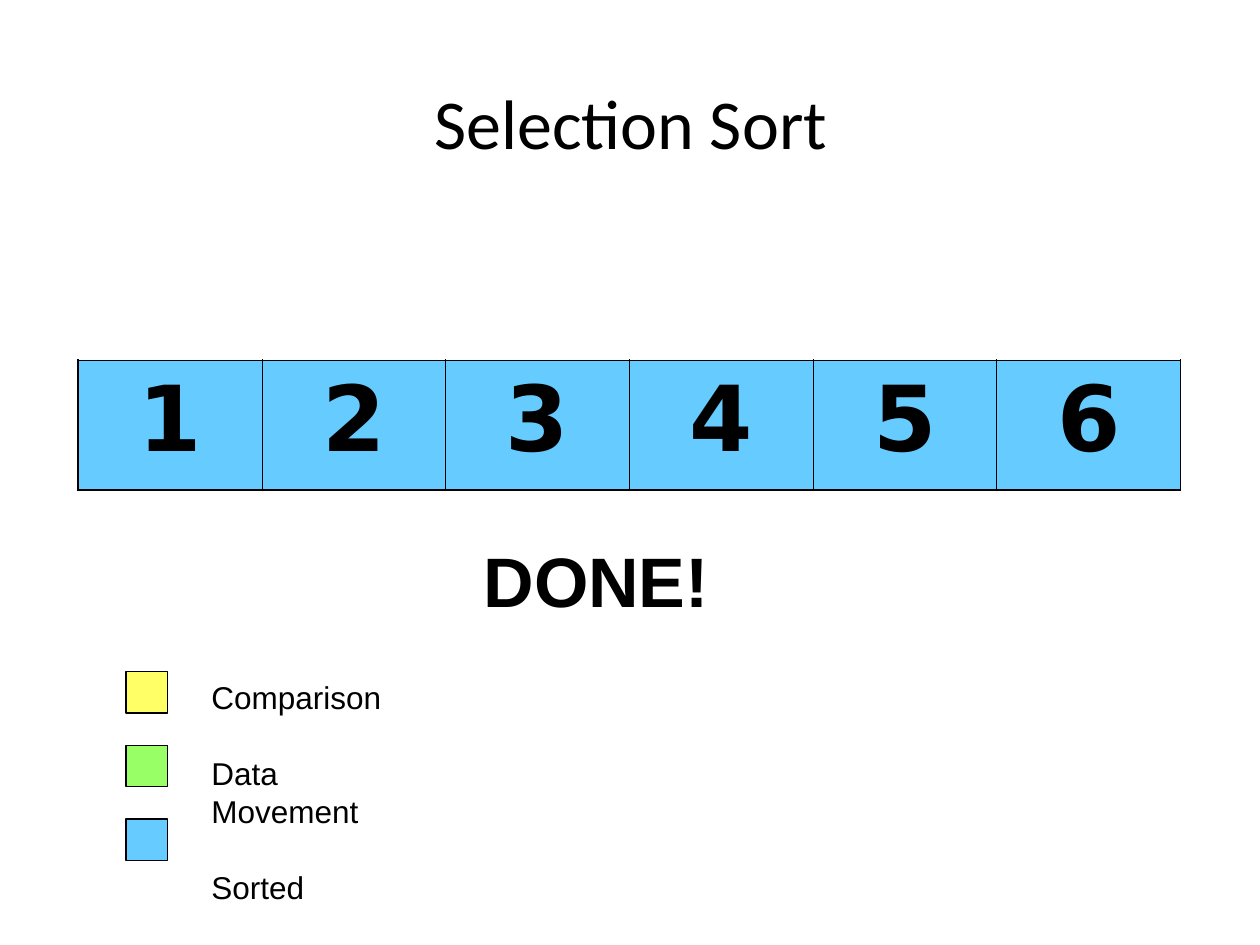
from lxml import etree
from pptx import Presentation
from pptx.dml.color import RGBColor
from pptx.enum.shapes import MSO_SHAPE
from pptx.enum.text import MSO_ANCHOR, MSO_AUTO_SIZE, PP_ALIGN
from pptx.oxml.ns import qn
from pptx.util import Inches, Pt

RECTANGLE = MSO_SHAPE.RECTANGLE
TOP, MIDDLE = MSO_ANCHOR.TOP, MSO_ANCHOR.MIDDLE
CENTER, LEFT = PP_ALIGN.CENTER, PP_ALIGN.LEFT
FIT_SHAPE = MSO_AUTO_SIZE.SHAPE_TO_FIT_TEXT

BLACK = RGBColor(0x00, 0x00, 0x00)
YELLOW = RGBColor(0xFF, 0xFF, 0x66)
GREEN = RGBColor(0x99, 0xFF, 0x66)
BLUE = RGBColor(0x66, 0xCC, 0xFF)

VALUES = ["1", "2", "3", "4", "5", "6"]
LEGEND = [("Comparison", YELLOW), ("Data Movement", GREEN), ("Sorted", BLUE)]
OUTER_BORDER, INNER_BORDER = 1.08, 0.45


def format_text(text_frame, font_name, size, bold=False, alignment=LEFT):
    for paragraph in text_frame.paragraphs:
        paragraph.alignment = alignment
        for run in paragraph.runs:
            run.font.name = font_name
            run.font.size = Pt(size)
            run.font.bold = bold
            run.font.color.rgb = BLACK


def set_title(slide, text):
    title = slide.shapes.title
    title.left, title.top = Inches(0.63), Inches(0.33)
    title.width, title.height = Inches(8.75), Inches(1.33)
    title.text_frame.text = text
    title.text_frame.vertical_anchor = MIDDLE
    format_text(title.text_frame, "Calibri", 40, alignment=CENTER)
    title.text_frame.paragraphs[0].line_spacing = 0.97


def set_borders(cell, widths):
    """Draw black cell borders; widths maps a side (L, R, T, B) to points."""
    properties = cell._tc.get_or_add_tcPr()
    for position, (side, width) in enumerate(widths.items()):
        line = etree.Element(qn(f"a:ln{side}"), w=str(int(Pt(width))))
        fill = etree.SubElement(line, qn("a:solidFill"))
        etree.SubElement(fill, qn("a:srgbClr"), val=str(BLACK))
        properties.insert(position, line)


def add_array(slide, values):
    frame = slide.shapes.add_table(1, len(values), Inches(0.62), Inches(2.86),
                                   Inches(8.75), Inches(1.03))
    table = frame.table
    table.first_row = table.horz_banding = False
    last = len(values) - 1
    for column, value in enumerate(values):
        cell = table.cell(0, column)
        cell.text_frame.text = value
        cell.vertical_anchor = TOP
        format_text(cell.text_frame, "DejaVu Sans", 52, True, CENTER)
        cell.fill.solid()
        cell.fill.fore_color.rgb = BLUE
        set_borders(cell, {
            "L": OUTER_BORDER if column == 0 else INNER_BORDER,
            "R": OUTER_BORDER if column == last else INNER_BORDER,
            "T": OUTER_BORDER,
            "B": OUTER_BORDER,
        })


def add_swatch(slide, top, color):
    swatch = slide.shapes.add_shape(RECTANGLE, Inches(1), Inches(top),
                                    Inches(0.33), Inches(0.33))
    swatch.shadow.inherit = False
    swatch.fill.solid()
    swatch.fill.fore_color.rgb = color
    swatch.line.color.rgb = BLACK
    swatch.line.width = Pt(0.75)


def add_label(slide, left, top, width, height, text, size, bold=False):
    box = slide.shapes.add_textbox(Inches(left), Inches(top),
                                   Inches(width), Inches(height))
    text_frame = box.text_frame
    text_frame.text = text
    text_frame.word_wrap = False
    text_frame.auto_size = FIT_SHAPE
    format_text(text_frame, "Arial", size, bold)
    return text_frame


def add_legend(slide, entries):
    top, pitch = 5.33, 0.585
    for index, (_, color) in enumerate(entries):
        add_swatch(slide, top + index * pitch, color)
    names = "\n".join(name for name, _ in entries)
    text_frame = add_label(slide, 1.58, top, 1.96, 1.6, names, 18)
    for paragraph in text_frame.paragraphs[1:]:
        paragraph.space_before = Pt(22)


def main():
    presentation = Presentation()
    presentation.slide_width = Inches(10)
    presentation.slide_height = Inches(7.5)
    title_only = presentation.slide_layouts[5]
    slide = presentation.slides.add_slide(title_only)

    # Title and sorted array
    set_title(slide, "Selection Sort")
    add_array(slide, VALUES)

    # Color legend and closing message
    add_legend(slide, LEGEND)
    add_label(slide, 3.74, 4.22, 1.99, 0.77, "DONE!", 40, bold=True)

    presentation.save("out.pptx")


if __name__ == "__main__":
    main()
